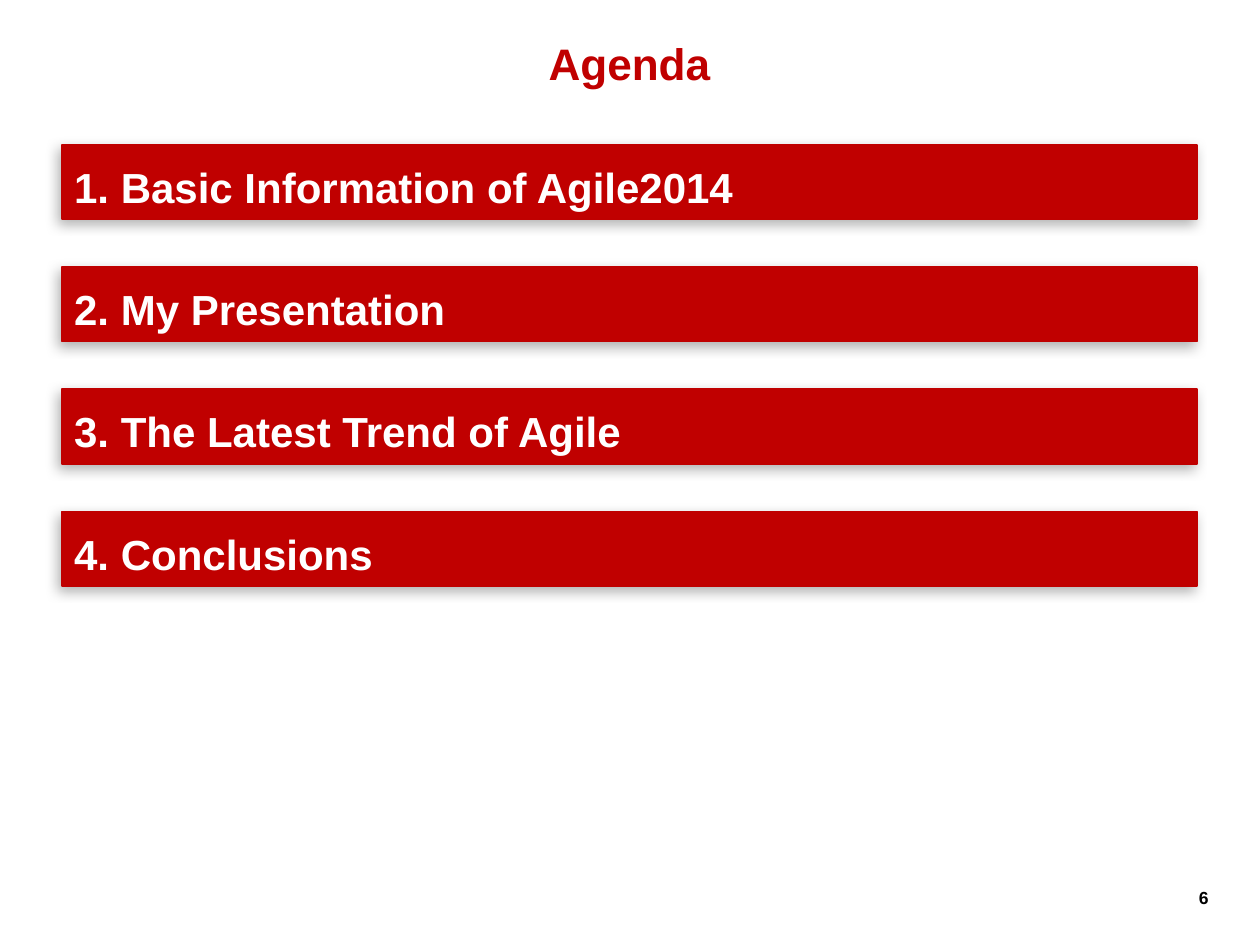
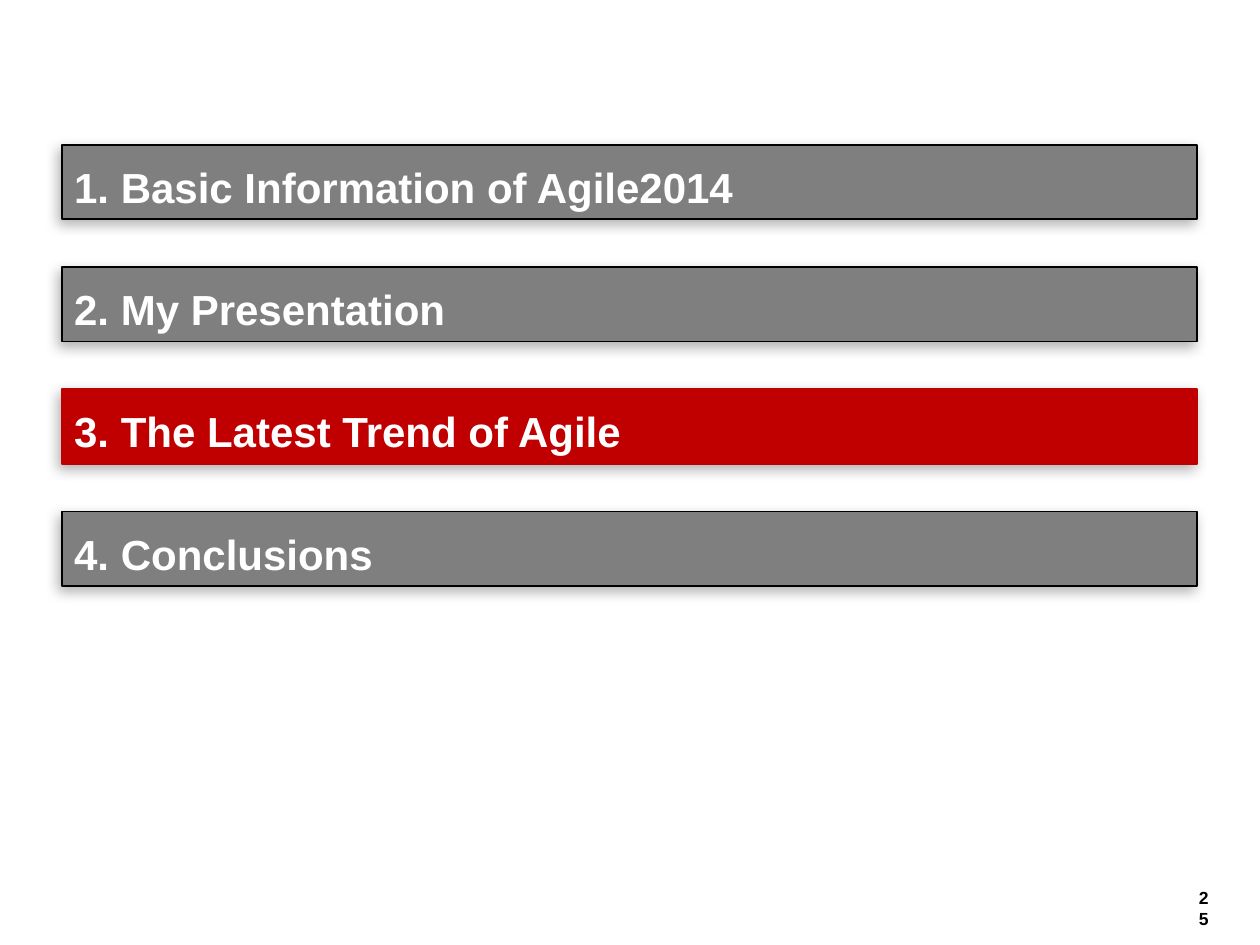
from dataclasses import dataclass

from lxml import etree
from pptx import Presentation
from pptx.dml.color import RGBColor
from pptx.enum.shapes import MSO_SHAPE
from pptx.enum.text import MSO_ANCHOR, PP_ALIGN
from pptx.oxml.ns import qn
from pptx.shapes.autoshape import Shape
from pptx.slide import Slide
from pptx.util import Inches, Pt

RECTANGLE = MSO_SHAPE.RECTANGLE
TOP, MIDDLE = MSO_ANCHOR.TOP, MSO_ANCHOR.MIDDLE
LEFT, CENTER, RIGHT = PP_ALIGN.LEFT, PP_ALIGN.CENTER, PP_ALIGN.RIGHT

FONT = "Arial"
COLORS = {
    "active": "C00000",
    "active_edge": "BF0000",
    "inactive": "7F7F7F",
    "black": "000000",
    "white": "FFFFFF",
}
WIDTH, HEIGHT = Inches(10), Inches(7.5)
COLUMN, ROW = WIDTH / 100, HEIGHT / 75
TOPICS = (
    "Basic Information of Agile2014",
    "My Presentation",
    "The Latest Trend of Agile",
    "Conclusions",
)


@dataclass(frozen=True)
class Area:
    column: float
    row: float
    columns: float
    rows: float

    def emu(self) -> tuple[int, int, int, int]:
        return (round(self.column * COLUMN), round(self.row * ROW),
                round(self.columns * COLUMN), round(self.rows * ROW))


@dataclass(frozen=True)
class TextStyle:
    size: float
    color: str
    align: PP_ALIGN
    anchor: MSO_ANCHOR
    top_inset: float = 0.05


@dataclass(frozen=True)
class BandStyle:
    fill: str
    edge: str


@dataclass(frozen=True)
class AgendaPage:
    number: int
    active_topics: tuple[int, ...]
    title: str = ""


TITLE_AREA = Area(3.9, 2.8, 92.1, 3.9)
NUMBER_AREA = Area(94.1, 69.9, 2.8, 2.7)
FIRST_BAND = Area(4.9, 11.5, 90.1, 5.9)
BAND_PITCH = 9.7

TITLE_TEXT = TextStyle(25.2, "active", CENTER, MIDDLE, 0.09)
NUMBER_TEXT = TextStyle(10, "black", RIGHT, TOP)
BAND_TEXT = TextStyle(24, "white", LEFT, MIDDLE, 0.12)
ACTIVE = BandStyle("active", "active_edge")
INACTIVE = BandStyle("inactive", "black")

PAGES = (
    AgendaPage(6, (1, 2, 3, 4), "Agenda"),
    AgendaPage(25, (3,)),
)


def rgb(name: str) -> RGBColor:
    return RGBColor.from_string(COLORS[name])


def write(holder: Shape, text: str, style: TextStyle) -> None:
    frame = holder.text_frame
    frame.word_wrap = True
    frame.vertical_anchor = style.anchor
    frame.margin_top = Inches(style.top_inset)
    paragraph = frame.paragraphs[0]
    paragraph.text = text
    paragraph.alignment = style.align
    font = paragraph.font
    font.name, font.size, font.bold = FONT, Pt(style.size), True
    font.color.rgb = rgb(style.color)


def add_label(slide: Slide, area: Area, text: str, style: TextStyle) -> None:
    write(slide.shapes.add_textbox(*area.emu()), text, style)


def add_soft_shadow(band: Shape) -> None:
    band.shadow.inherit = False
    effects = band._element.spPr.find(qn("a:effectLst"))
    shadow = etree.SubElement(
        effects, qn("a:outerShdw"), blurRad=str(Pt(7)), dist=str(Pt(3)),
        dir=str(135 * 60000), algn="ctr", rotWithShape="0")
    color = etree.SubElement(shadow, qn("a:srgbClr"), val=COLORS["black"])
    etree.SubElement(color, qn("a:alpha"), val="30000")


def add_band(slide: Slide, area: Area, text: str, style: BandStyle) -> None:
    band = slide.shapes.add_shape(RECTANGLE, *area.emu())
    band.fill.solid()
    band.fill.fore_color.rgb = rgb(style.fill)
    band.line.color.rgb = rgb(style.edge)
    band.line.width = Pt(1)
    add_soft_shadow(band)
    write(band, text, BAND_TEXT)


def add_page(deck: Presentation, page: AgendaPage) -> None:
    slide = deck.slides.add_slide(deck.slide_layouts[6])
    add_label(slide, NUMBER_AREA, str(page.number), NUMBER_TEXT)
    if page.title:
        add_label(slide, TITLE_AREA, page.title, TITLE_TEXT)
    for position, topic in enumerate(TOPICS, start=1):
        area = Area(FIRST_BAND.column,
                    FIRST_BAND.row + (position - 1) * BAND_PITCH,
                    FIRST_BAND.columns, FIRST_BAND.rows)
        style = ACTIVE if position in page.active_topics else INACTIVE
        add_band(slide, area, f"{position}. {topic}", style)


def main() -> None:
    deck = Presentation()
    deck.slide_width, deck.slide_height = WIDTH, HEIGHT
    for page in PAGES:
        add_page(deck, page)
    deck.save("out.pptx")


if __name__ == "__main__":
    main()
